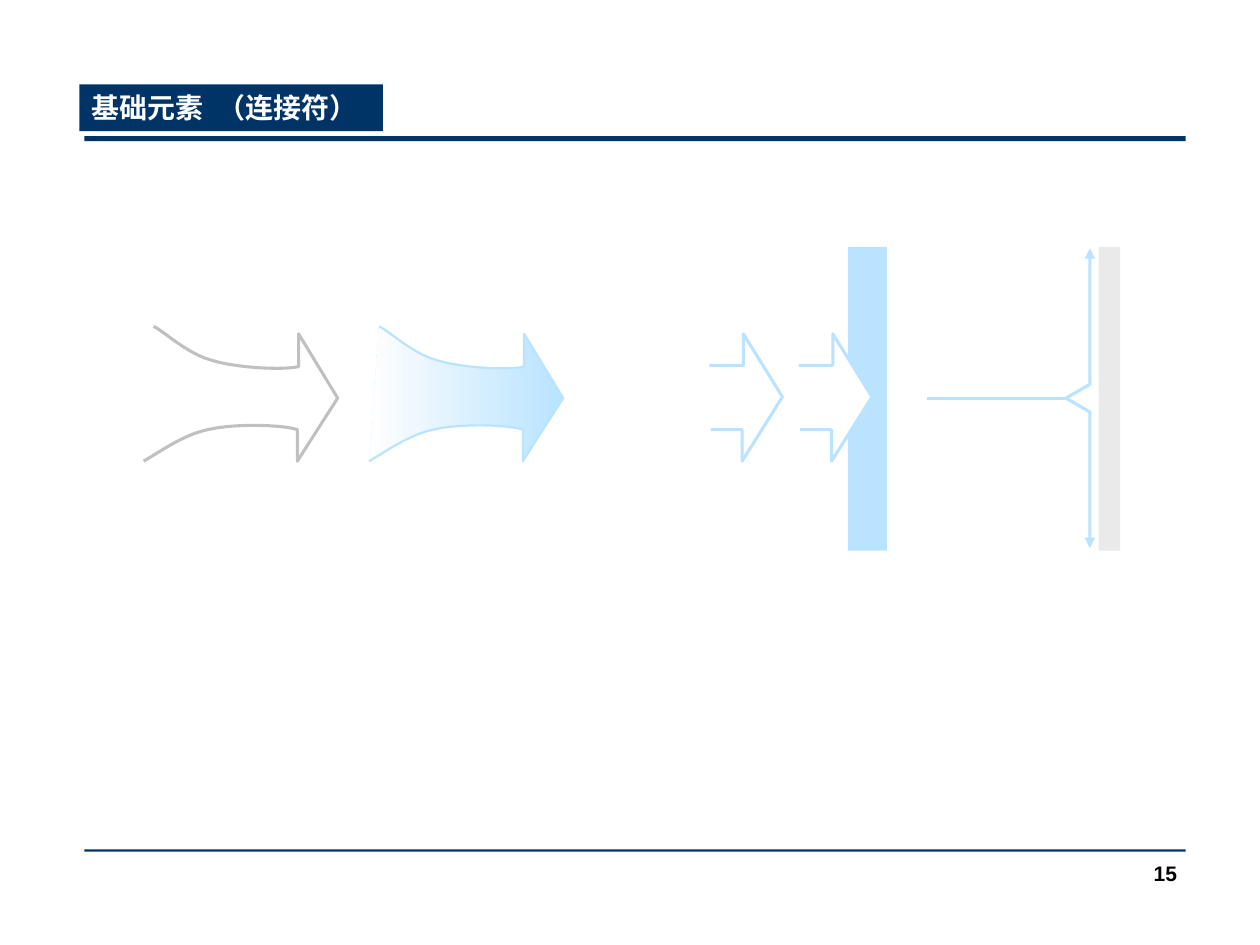
import lxml.etree
import pptx
import pptx.dml.color
import pptx.enum.shapes
import pptx.enum.text
import pptx.oxml.ns
import pptx.util

Inches = pptx.util.Inches
Pt = pptx.util.Pt
RGBColor = pptx.dml.color.RGBColor
PP_ALIGN = pptx.enum.text.PP_ALIGN
qn = pptx.oxml.ns.qn

NAVY = RGBColor(0x00, 0x33, 0x66)
SKY = RGBColor(0xB9, 0xE3, 0xFF)
PALE_GRAY = RGBColor(0xEA, 0xEA, 0xEA)
GRAY = RGBColor(0xC0, 0xC0, 0xC0)
OFF_WHITE = RGBColor(0xFE, 0xFE, 0xFE)
WHITE = RGBColor(0xFF, 0xFF, 0xFF)
BLACK = RGBColor(0x00, 0x00, 0x00)

CURVE_STEPS = 10
FLARED_ARROW_PITCH = 1.79
BLOCK_ARROW_PITCH = 0.71
BLOCK_ARROW = [(5.63, 2.9), (5.9, 2.9), (5.9, 2.65), (6.21, 3.15),
               (5.89, 3.66), (5.89, 3.41), (5.64, 3.41)]
FORK = [(8.65, 1.97), (8.65, 3.05), (8.46, 3.16), (8.65, 3.27), (8.65, 4.35)]


def curve_points(start, control_1, control_2, end):
    """Return points along a cubic curve, both ends included."""
    points = []
    for step in range(CURVE_STEPS + 1):
        t = step / CURVE_STEPS
        weights = ((1 - t) ** 3, 3 * t * (1 - t) ** 2, 3 * t ** 2 * (1 - t), t ** 3)
        points.append(tuple(
            sum(weight * value for weight, value in zip(weights, values))
            for values in zip(start, control_1, control_2, end)))
    return points


def flared_arrow_points():
    """Return the outline of the arrow with a widening tail."""
    return (
        curve_points((1.22, 2.59), (1.3, 2.63), (1.49, 2.81), (1.68, 2.86))
        + curve_points((1.68, 2.86), (1.87, 2.92), (2.25, 2.94), (2.37, 2.91))[1:]
        + [(2.37, 2.65), (2.68, 3.16), (2.36, 3.66)]
        + curve_points((2.36, 3.41), (2.24, 3.37), (1.86, 3.36), (1.65, 3.41))
        + curve_points((1.65, 3.41), (1.45, 3.45), (1.25, 3.6), (1.14, 3.66))[1:])


def add_bar(slide, left, top, width, height, color):
    """Add a plain filled rectangle."""
    shape = slide.shapes.add_shape(
        pptx.enum.shapes.MSO_SHAPE.RECTANGLE,
        Inches(left), Inches(top), Inches(width), Inches(height))
    shape.shadow.inherit = False
    shape.fill.solid()
    shape.fill.fore_color.rgb = color
    shape.line.fill.background()


def add_outline(slide, points, line_color, line_width=1.75, shift=0):
    """Add an open, unfilled freeform, shifted to the right."""
    corners = [(Inches(x + shift), Inches(y)) for x, y in points]
    builder = slide.shapes.build_freeform(*corners[0])
    builder.add_line_segments(corners[1:], close=False)
    shape = builder.convert_to_shape()
    shape.shadow.inherit = False
    shape.fill.background()
    shape.line.color.rgb = line_color
    shape.line.width = Pt(line_width)
    return shape


def add_white_arrow(slide, points, line_color, shift=0):
    """Add an arrow outline filled with white."""
    shape = add_outline(slide, points, line_color, shift=shift)
    shape.fill.solid()
    shape.fill.fore_color.rgb = WHITE


def add_gradient_arrow(slide, points, shift):
    """Add an arrow that fades out towards its tail."""
    shape = add_outline(slide, points, SKY, 1.25, shift)
    shape.fill.gradient()
    shape.fill.gradient_angle = 180
    for stop, color, position in zip(shape.fill.gradient_stops, (SKY, OFF_WHITE), (0, 1)):
        stop.color.rgb = color
        stop.position = position


def add_fork(slide):
    """Add a stem that splits into an upward and a downward arrow."""
    stem = slide.shapes.add_connector(
        pptx.enum.shapes.MSO_CONNECTOR.STRAIGHT,
        Inches(7.36), Inches(3.16), Inches(8.48), Inches(3.16))
    stem.line.color.rgb = SKY
    stem.line.width = Pt(1.75)
    lxml.etree.SubElement(stem._element.spPr, qn("a:effectLst"))
    fork = add_outline(slide, FORK, SKY)
    line = fork.line._get_or_add_ln()
    for end in ("a:headEnd", "a:tailEnd"):
        lxml.etree.SubElement(line, qn(end), type="triangle")


def write_text(shape, text, size, color, alignment):
    """Write one bold line of text into a shape."""
    text_frame = shape.text_frame
    text_frame.word_wrap = True
    text_frame.text = text
    paragraph = text_frame.paragraphs[0]
    paragraph.alignment = alignment
    font = paragraph.runs[0].font
    font.name = "Arial"
    font.size = Pt(size)
    font.bold = True
    font.color.rgb = color
    return paragraph


def set_title(slide, text):
    """Place the title as a filled label with one tab stop."""
    title = slide.shapes.title
    title.left, title.top = Inches(0.63), Inches(0.67)
    title.width, title.height = Inches(2.41), Inches(0.37)
    title.fill.solid()
    title.fill.fore_color.rgb = NAVY
    title.text_frame.auto_size = pptx.enum.text.MSO_AUTO_SIZE.NONE
    title.text_frame.vertical_anchor = pptx.enum.text.MSO_ANCHOR.MIDDLE
    paragraph = write_text(title, text, 16, WHITE, PP_ALIGN.LEFT)
    tabs = lxml.etree.SubElement(paragraph._p.get_or_add_pPr(), qn("a:tabLst"))
    lxml.etree.SubElement(tabs, qn("a:tab"), pos=str(Inches(1)), algn="l")


def add_page_number(slide, text):
    """Add the page number at the lower right."""
    box = slide.shapes.add_textbox(Inches(7.36), Inches(6.78), Inches(2.08), Inches(0.5))
    write_text(box, text, 12, BLACK, PP_ALIGN.RIGHT)


def main():
    """Build the slide and save it."""
    presentation = pptx.Presentation()
    presentation.slide_width = Inches(10)
    presentation.slide_height = Inches(7.5)
    slide = presentation.slides.add_slide(presentation.slide_layouts[5])
    set_title(slide, "基础元素\t（连接符）")
    add_bar(slide, 0.67, 1.08, 8.74, 0.04, NAVY)
    add_bar(slide, 0.67, 6.74, 8.74, 0.02, NAVY)

    add_bar(slide, 6.73, 1.96, 0.31, 2.41, SKY)
    for shift in (BLOCK_ARROW_PITCH, 0):
        add_white_arrow(slide, BLOCK_ARROW, SKY, shift)

    add_fork(slide)
    add_bar(slide, 8.72, 1.96, 0.17, 2.41, PALE_GRAY)

    flared_arrow = flared_arrow_points()
    add_white_arrow(slide, flared_arrow, GRAY)
    add_gradient_arrow(slide, flared_arrow, FLARED_ARROW_PITCH)

    add_page_number(slide, "15")
    presentation.save("out.pptx")


if __name__ == "__main__":
    main()
